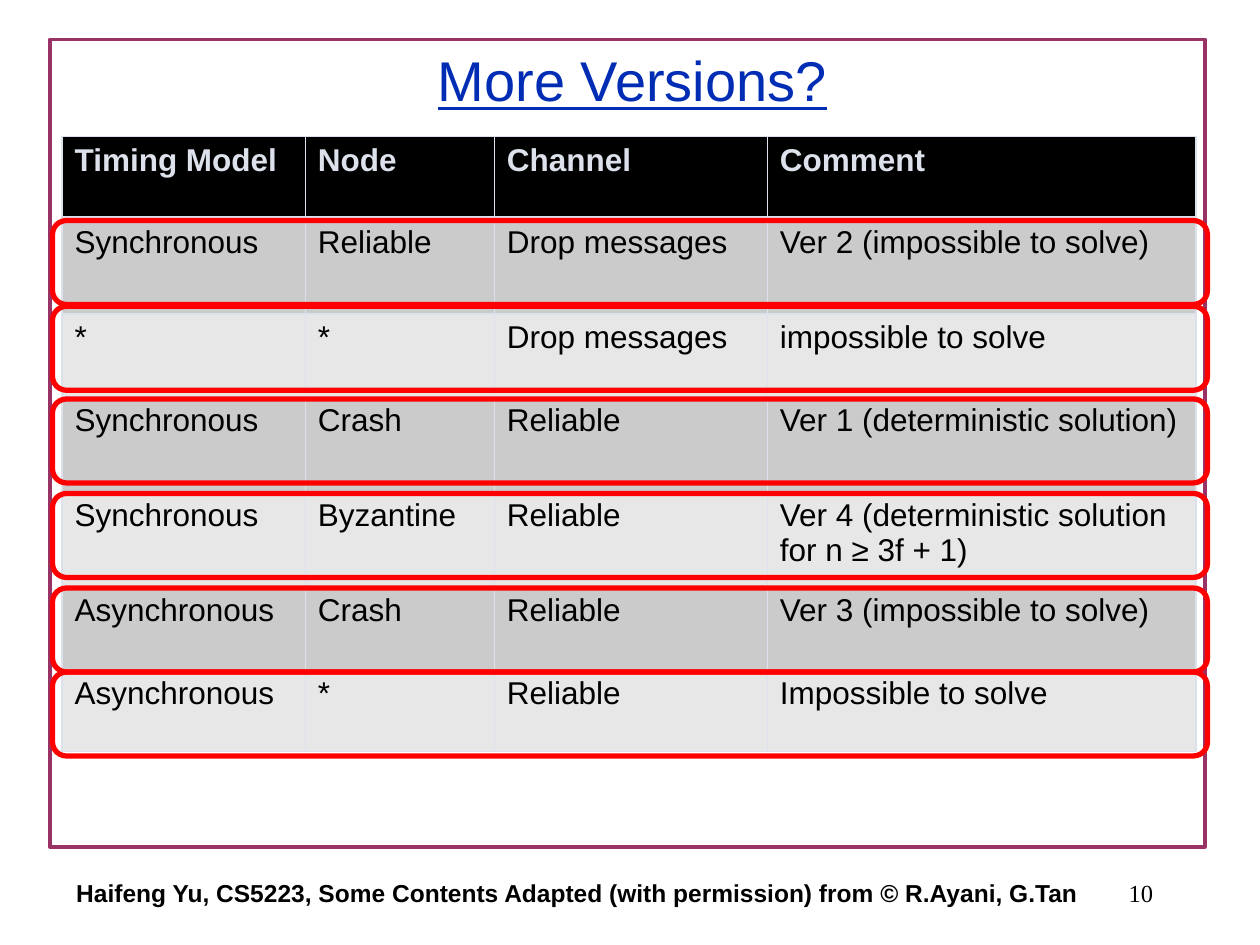
from lxml import etree
from pptx import Presentation
from pptx.dml.color import RGBColor
from pptx.enum import shapes, text
from pptx.oxml import ns
from pptx.util import Pt

BLACK, WHITE, PALE, RED = "000000", "FFFFFF", "DDE1EB", "FF0000"
BANDS = ("CBCBCB", "E7E7E7")
COLUMN_WIDTHS = (139, 108, 156, 245)
ROW_HEIGHTS = (47, 54.5, 47, 54.5, 54.5, 47, 47)
VERSIONS = (
    ("Timing Model", "Node", "Channel", "Comment"),
    ("Synchronous", "Reliable", "Drop messages", "Ver 2 (impossible to solve)"),
    ("*", "*", "Drop messages", "impossible to solve"),
    ("Synchronous", "Crash", "Reliable", "Ver 1 (deterministic solution)"),
    ("Synchronous", "Byzantine", "Reliable",
     "Ver 4 (deterministic solution for n ≥ 3f + 1)"),
    ("Asynchronous", "Crash", "Reliable", "Ver 3 (impossible to solve)"),
    ("Asynchronous", "*", "Reliable", "Impossible to solve"),
)
HIGHLIGHT_TOPS = (126, 175, 228, 282, 336, 384)


def color(value):
    """Turn a hex string into a colour."""
    return RGBColor.from_string(value)


def points(box):
    """Turn left, top, width and height into lengths."""
    return [Pt(length) for length in box]


def write(frame, wording, ink, align=text.PP_ALIGN.LEFT, **font):
    """Put one formatted paragraph into a text frame."""
    frame.word_wrap = True
    paragraph = frame.paragraphs[0]
    paragraph.alignment = align
    run = paragraph.add_run()
    run.text = wording
    run.font.color.rgb = color(ink)
    for key, value in ({"name": "Arial", "size": Pt(18)} | font).items():
        setattr(run.font, key, value)


def add_outline(slide, kind, box, ink, width):
    """Draw an unfilled preset shape."""
    outline = slide.shapes.add_shape(kind, *points(box))
    outline.shadow.inherit = False
    outline.fill.background()
    outline.line.color.rgb = color(ink)
    outline.line.width = Pt(width)


def add_title(slide, box, wording):
    """Place and format the title placeholder."""
    title = slide.shapes.title
    title.left, title.top, title.width, title.height = points(box)
    title.text_frame.vertical_anchor = text.MSO_ANCHOR.MIDDLE
    write(title.text_frame, wording, "002DB4", text.PP_ALIGN.CENTER,
          size=Pt(32), underline=True)


def add_borders(cell, widths):
    """Give the left, right, top and bottom edges of a cell their widths."""
    properties = cell._tc.get_or_add_tcPr()
    for index, (edge, width) in enumerate(zip("LRTB", widths)):
        border = etree.Element(ns.qn(f"a:ln{edge}"), w=str(Pt(width)))
        fill = etree.SubElement(border, ns.qn("a:solidFill"))
        etree.SubElement(fill, ns.qn("a:srgbClr"), val=PALE)
        properties.insert(index, border)


def add_versions(slide, left, top):
    """Build the banded table of problem versions."""
    box = (left, top, sum(COLUMN_WIDTHS), sum(ROW_HEIGHTS))
    table = slide.shapes.add_table(
        len(VERSIONS), len(COLUMN_WIDTHS), *points(box)).table
    for column, width in zip(table.columns, COLUMN_WIDTHS):
        column.width = Pt(width)
    for index, (row, height) in enumerate(zip(table.rows, ROW_HEIGHTS)):
        row.height = Pt(height)
        header = index == 0
        for cell, wording in zip(row.cells, VERSIONS[index]):
            cell.fill.solid()
            cell.fill.fore_color.rgb = color(
                BLACK if header else BANDS[(index - 1) % 2])
            add_borders(cell, (1, 1, 3 if index == 1 else 1, 3 if header else 1))
            write(cell.text_frame, wording, PALE if header else BLACK, bold=header)


def add_highlights(slide, left, width, height):
    """Ring the rows of the table."""
    for top in HIGHLIGHT_TOPS:
        add_outline(slide, shapes.MSO_SHAPE.ROUNDED_RECTANGLE,
                    (left, top, width, height), RED, 3)


def add_footer(slide, top, height):
    """Write the slide number and the credit line."""
    credit = ("Haifeng Yu, CS5223, Some Contents Adapted (with permission) "
              "from © R.Ayani, G.Tan")
    parts = (
        (516, 150, "10", text.PP_ALIGN.RIGHT, {"name": "Times New Roman"}),
        (24, 612, credit, text.PP_ALIGN.CENTER, {"bold": True}),
    )
    for left, width, wording, align, font in parts:
        note = slide.shapes.add_textbox(*points((left, top, width, height)))
        note.text_frame.vertical_anchor = text.MSO_ANCHOR.MIDDLE
        write(note.text_frame, wording, BLACK, align, size=Pt(14), **font)


def build():
    """Build and save the slide."""
    deck = Presentation()
    deck.slide_width, deck.slide_height = Pt(720), Pt(540)
    slide = deck.slides.add_slide(deck.slide_layouts[5])
    slide.background.fill.solid()
    slide.background.fill.fore_color.rgb = color(WHITE)
    add_outline(slide, shapes.MSO_SHAPE.RECTANGLE,
                (28.5, 22.5, 660, 461.5), "993366", 2)
    add_title(slide, (55.5, 12.5, 612, 66), "More Versions?")
    add_versions(slide, 35.5, 78)
    add_footer(slide, 492, 36)
    add_highlights(slide, 30, 660, 48)
    deck.save("out.pptx")


build()
